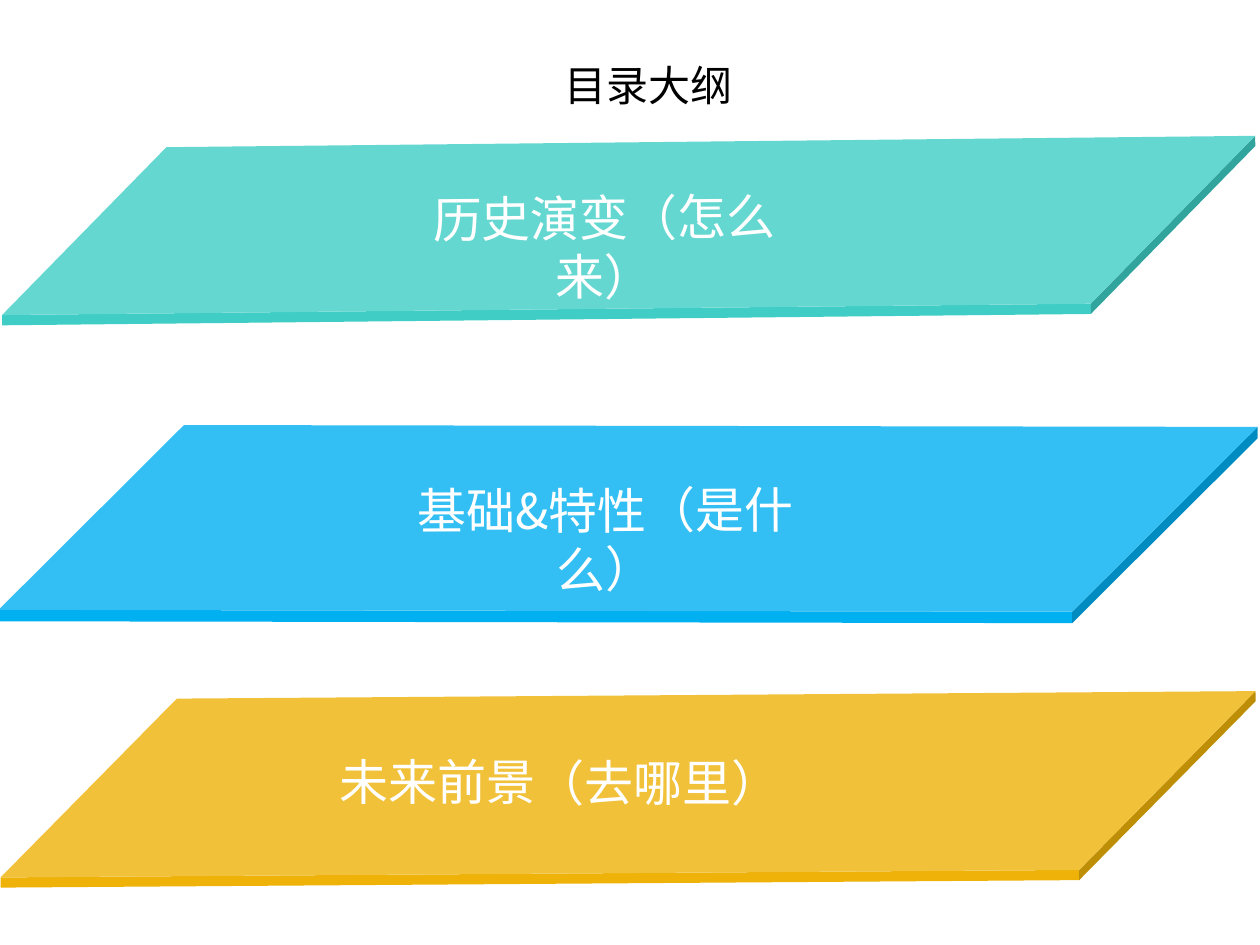
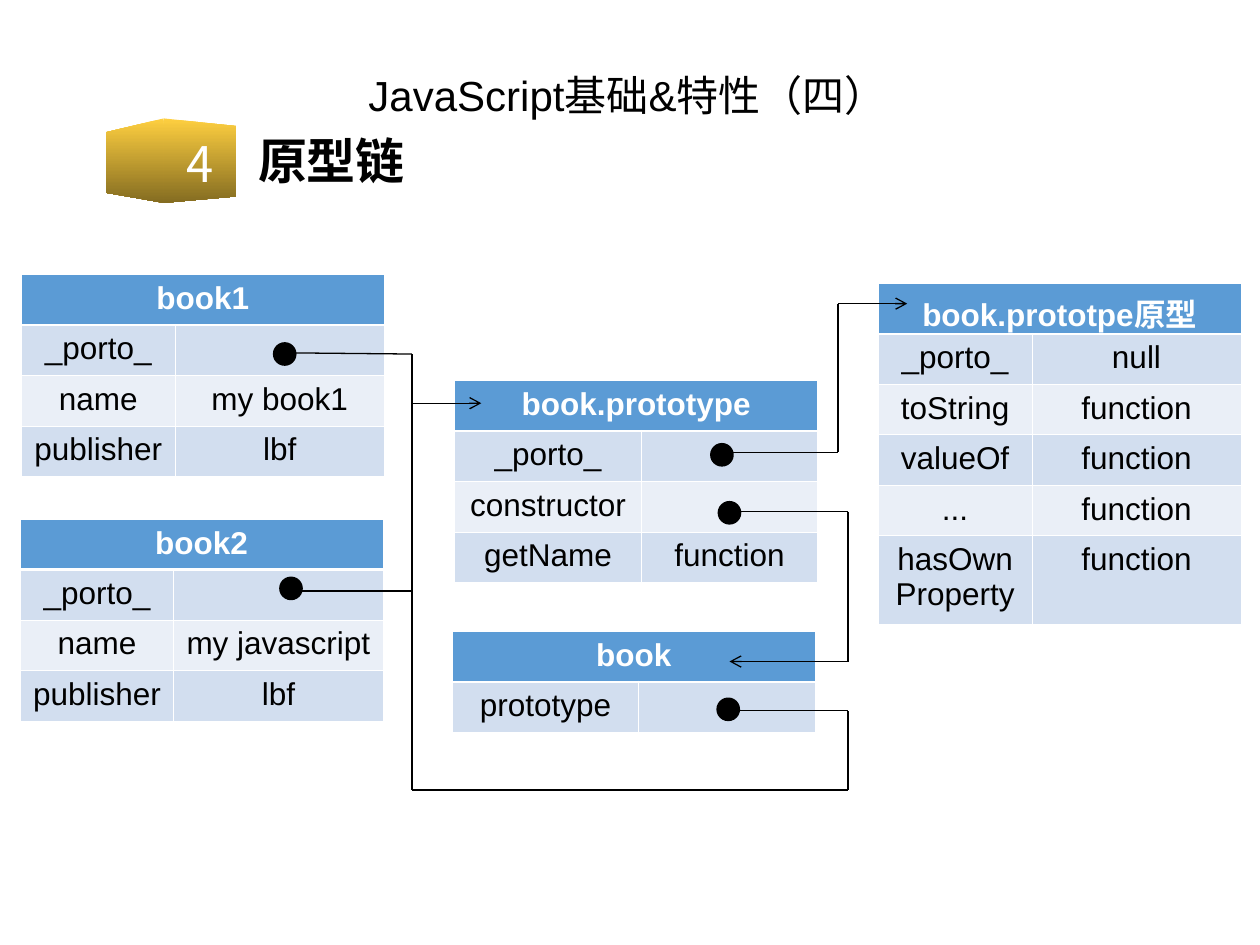
from dataclasses import dataclass
from itertools import pairwise

from lxml.etree import SubElement as Sub
from pptx import Presentation
from pptx.dml.color import RGBColor as Rgb
from pptx.enum.shapes import MSO_CONNECTOR as Link, MSO_SHAPE as Kind
from pptx.enum.text import MSO_ANCHOR as Anchor, PP_ALIGN as Align
from pptx.oxml import parse_xml
from pptx.oxml.ns import nsdecls, qn
from pptx.util import Inches, Pt


@dataclass(frozen=True)
class Theme:
    """Colours, fonts and type sizes of the deck."""
    ink: str = "000000"
    paper: str = "FFFFFF"
    teal: str = "3FCDC6"
    blue: str = "00B0F0"
    gold: str = "EEB208"
    head: str = "5B9BD5"
    rows: tuple = ("D2DEEF", "EAEFF7")
    badge: tuple = ("FECF40", "846C21")
    latin: str = "Arial"
    han: str = "Noto Sans CJK SC"
    title: int = 24
    label: int = 28
    cell: int = 18
    thin: float = 0.45
    thick: float = 1.47
    wire: float = 0.75


T = Theme()
COLS, ROWS = 100, 75
WIDE, HIGH = Inches(10), Inches(7.5)


def gx(cols):
    """Turn grid columns into a length."""
    return round(WIDE * cols / COLS)


def gy(rows):
    """Turn grid rows into a length."""
    return round(HIGH * rows / ROWS)


def place(box, dx, dy, w, h):
    """Give the lengths of a part set off from the corner of a box."""
    return gx(box[0] + dx), gy(box[1] + dy), gx(w), gy(h)


def put(item, **form):
    """Set each format value on an item."""
    for key, val in form.items():
        setattr(item, key, val)


def paint(shape, fill, line=None, width=0):
    """Give a shape a flat fill and a line or none."""
    shape.shadow.inherit = False
    shape.fill.solid()
    shape.fill.fore_color.rgb = Rgb.from_string(fill)
    if line:
        shape.line.color.rgb = Rgb.from_string(line)
        shape.line.width = Pt(width)
    else:
        shape.line.fill.background()


def write(frame, text, size, tint, font=T.latin, bold=False, **para):
    """Write one styled line into a text frame."""
    line = frame.paragraphs[0]
    put(line, **para)
    run = line.add_run()
    run.text = text
    put(run.font, size=Pt(size), bold=bold, name=font)
    run.font.color.rgb = Rgb.from_string(tint)
    Sub(run.font._element, qn("a:ea"), typeface=T.han)


def note(sl, spot, text, size, tint, turn=0, anchor=Anchor.TOP, **form):
    """Add a wrapped text box."""
    box = sl.shapes.add_textbox(*spot)
    box.rotation = turn
    put(box.text_frame, word_wrap=True, vertical_anchor=anchor)
    write(box.text_frame, text, size, tint, **form)


def title(sl, box, text, font):
    """Add the slide title."""
    note(sl, place(box, 0, 0, *box[2:]), text, T.title, T.ink,
         anchor=Anchor.MIDDLE, font=font, alignment=Align.CENTER,
         line_spacing=0.9)


def band(sl, box, tint, turn, deep, label):
    """Add a slanted slab with its label."""
    slab = sl.shapes.add_shape(Kind.CUBE, *place(box, 0, 0, *box[2:]))
    slab.adjustments[0] = deep
    slab.rotation = turn
    paint(slab, tint)
    text, spot, lean = label
    note(sl, place(box, *spot), text, T.label, T.paper, lean,
         font=T.han, alignment=Align.CENTER)


def badge(sl, box, mark, text):
    """Add the folded gold badge, its number and the heading."""
    sides = (
        ((4.6, 0), (10.3, 0.6), (10.3, 6.2), (4.6, 6.7)),
        ((0, 1.1), (4.6, 0), (4.6, 6.7), (0, 5.9)),
    )
    group = sl.shapes.add_group_shape()
    for side in sides:
        spots = [place(box, *dot, 0, 0)[:2] for dot in side]
        pen = group.shapes.build_freeform(*spots[0])
        pen.add_line_segments(spots[1:], close=True)
        face = pen.convert_to_shape()
        paint(face, T.badge[0])
        face.fill.gradient()
        face.fill.gradient_angle = 270
        for stop, tint, pos in zip(face.fill.gradient_stops, T.badge, (0, 1)):
            stop.color.rgb = Rgb.from_string(tint)
            stop.position = pos
    note(sl, place(box, 5.4, 0.7, 3.8, 5.7), mark, T.label, T.paper,
         font=T.han)
    note(sl, place(box, 11.1, 0.5, 29.7, 5.7), text, T.label, T.ink,
         bold=True)


def edge(cell, top, base):
    """Draw the four white borders of a cell."""
    props = cell._tc.get_or_add_tcPr()
    sizes = {"L": T.thin, "R": T.thin, "T": top, "B": base}
    for at, (side, size) in enumerate(sizes.items()):
        props.insert(at, parse_xml(
            f'<a:ln{side} {nsdecls("a")} w="{Pt(size)}"><a:solidFill>'
            f'<a:srgbClr val="{T.paper}"/></a:solidFill></a:ln{side}>'))


def grid(sl, box, name, wides, pairs, last=4):
    """Add an object table with a merged head and banded rows."""
    count = len(pairs) + 1
    highs = [4] * (count - 1) + [last]
    spot = place(box, 0, 0, sum(wides), sum(highs))
    table = sl.shapes.add_table(count, 2, *spot).table
    for col, wide in zip(table.columns, wides):
        col.width = gx(wide)
    for row, high in zip(table.rows, highs):
        row.height = gy(high)
    table.cell(0, 0).merge(table.cell(0, 1))
    for r, texts in enumerate([(name, ""), *pairs]):
        for c, text in enumerate(texts):
            cell = table.cell(r, c)
            cell.fill.solid()
            tint = T.rows[(r - 1) % 2] if r else T.head
            cell.fill.fore_color.rgb = Rgb.from_string(tint)
            edge(cell, T.thick if r == 1 else T.thin,
                 T.thin if r else T.thick)
            if text:
                write(cell.text_frame, text, T.cell,
                      T.ink if r else T.paper, bold=not r,
                      alignment=Align.CENTER)


def route(sl, box, dots, arrow):
    """Join dots by straight lines, with an arrowhead at the end if asked."""
    for start, end in pairwise(dots):
        ends = [place(box, *dot, 0, 0)[:2] for dot in (start, end)]
        wire = sl.shapes.add_connector(Link.STRAIGHT, *ends[0], *ends[1])
        wire.line.color.rgb = Rgb.from_string(T.ink)
        wire.line.width = Pt(T.wire)
        Sub(wire._element.spPr, qn("a:effectLst"))
        if arrow and end == dots[-1]:
            Sub(wire.line._get_or_add_ln(), qn("a:tailEnd"), type="arrow")


def chart(sl, box):
    """Draw the object tables, the links between them and their dots."""
    slim, even = (12.2, 16.6), (14.8, 14)
    tables = (
        ((1.7, 1.8), "book1", slim,
         [("_porto_", ""), ("name", "my book1"), ("publisher", "lbf")], 4),
        ((1.6, 21.2), "book2", slim,
         [("_porto_", ""), ("name", "my javascript"),
          ("publisher", "lbf")], 4),
        ((36.1, 10.2), "book.prototype", even,
         [("_porto_", ""), ("constructor", ""), ("getName", "function")], 4),
        ((35.9, 30.1), "book", even, [("prototype", "")], 4),
        ((69.7, 2.5), "book.prototpe原型", slim,
         [("_porto_", "null")] + [(key, "function") for key in
         ("toString", "valueOf", "...", "hasOwnProperty")], 7),
    )
    for (dx, dy), *rest in tables:
        grid(sl, (box[0] + dx, box[1] + dy), *rest)
    bus, turn, rise = 32.7, 67.3, 66.5
    routes = (
        ([(22.5, 8), (bus, 8.1), (bus, 42.7), (turn, 42.7), (turn, 36.4),
          (57.1, 36.4)], False),
        ([(23.3, 26.9), (bus, 26.9)], False),
        ([(bus, 12), (38.2, 12)], True),
        ([(57.9, 20.6), (turn, 20.6), (turn, 32.5), (57.9, 32.5)], True),
        ([(57.9, 15.9), (rise, 15.9), (rise, 4.1), (72, 4.1)], True),
    )
    for dots, arrow in routes:
        route(sl, box, dots, arrow)
    for dot in ((57, 35.5), (22.3, 25.9), (57.1, 19.9), (56.5, 15.3),
                (21.8, 7.3)):
        spot = sl.shapes.add_shape(Kind.OVAL, *place(box, *dot, 1.6, 1.6))
        paint(spot, T.ink, T.ink, 2)


def outline(sl):
    """Build the contents slide."""
    title(sl, (8.3, 2.8, 86.3, 8.3), "目录大纲", T.han)
    bands = (
        ((0.1, 11.3, 99.6, 14), T.teal, 359.4, 0.942,
         ("历史演变（怎么来）", (29.5, 3.1, 36.7, 7.1), 359.5)),
        ((-0.1, 33.8, 99.9, 15.6), T.blue, 0.1, 0.942,
         ("基础&特性（是什么）", (29.6, 3.8, 37.1, 7.9), 359.7)),
        ((0, 55.2, 99.7, 14.9), T.gold, 359.6, 0.946,
         ("未来前景（去哪里）", (19.7, 4, 49.5, 7), 0.1)),
    )
    for item in bands:
        band(sl, *item)


def chain(sl):
    """Build the prototype chain slide."""
    title(sl, (6.7, 3.6, 86.2, 8.3), "JavaScript基础&特性（四）", T.latin)
    badge(sl, (8.4, 9.4), "4", "原型链")
    chart(sl, (0, 20))


def main():
    """Build and save the deck."""
    deck = Presentation()
    put(deck, slide_width=WIDE, slide_height=HIGH)
    for build in (outline, chain):
        build(deck.slides.add_slide(deck.slide_layouts[6]))
    deck.save("out.pptx")


if __name__ == "__main__":
    main()
